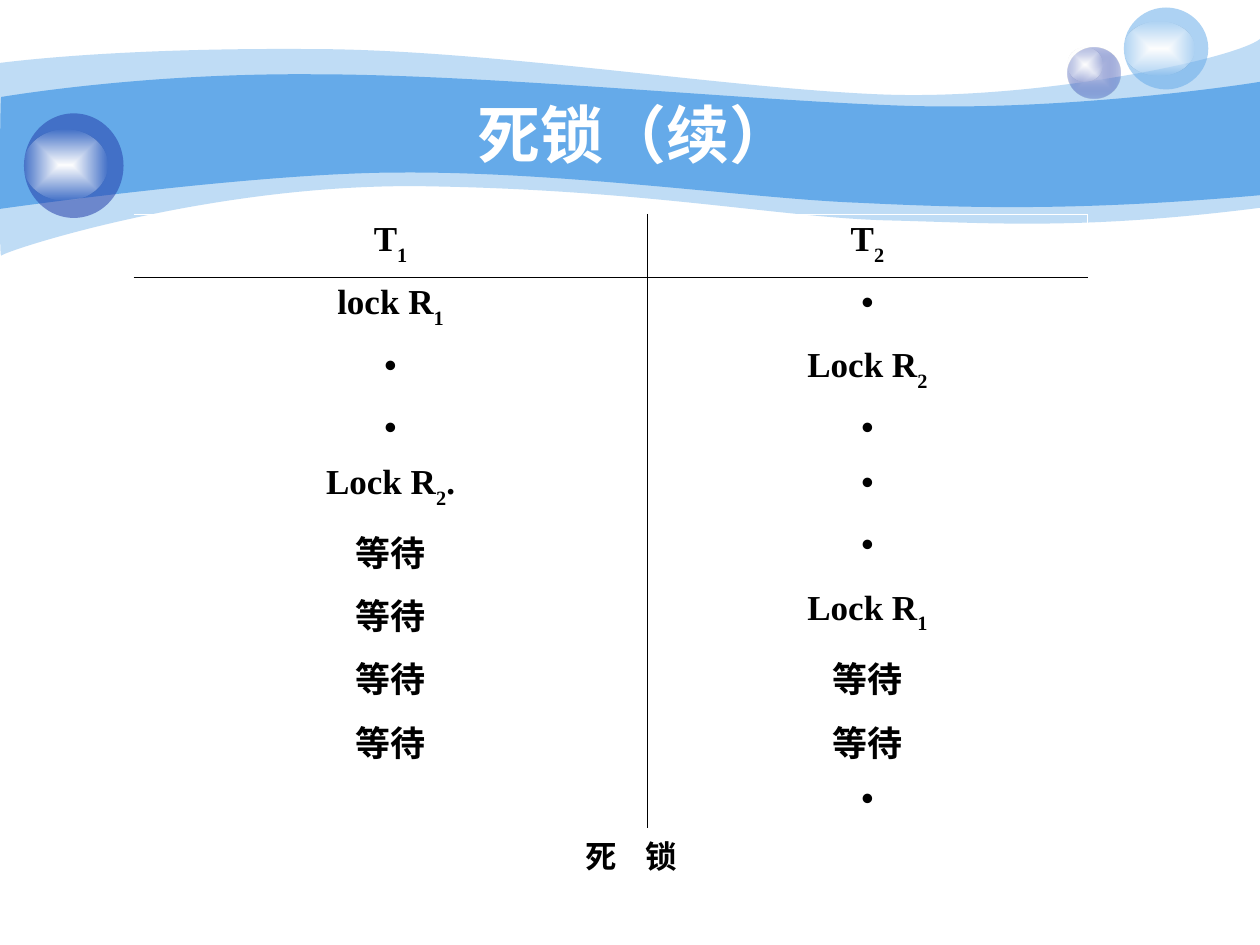
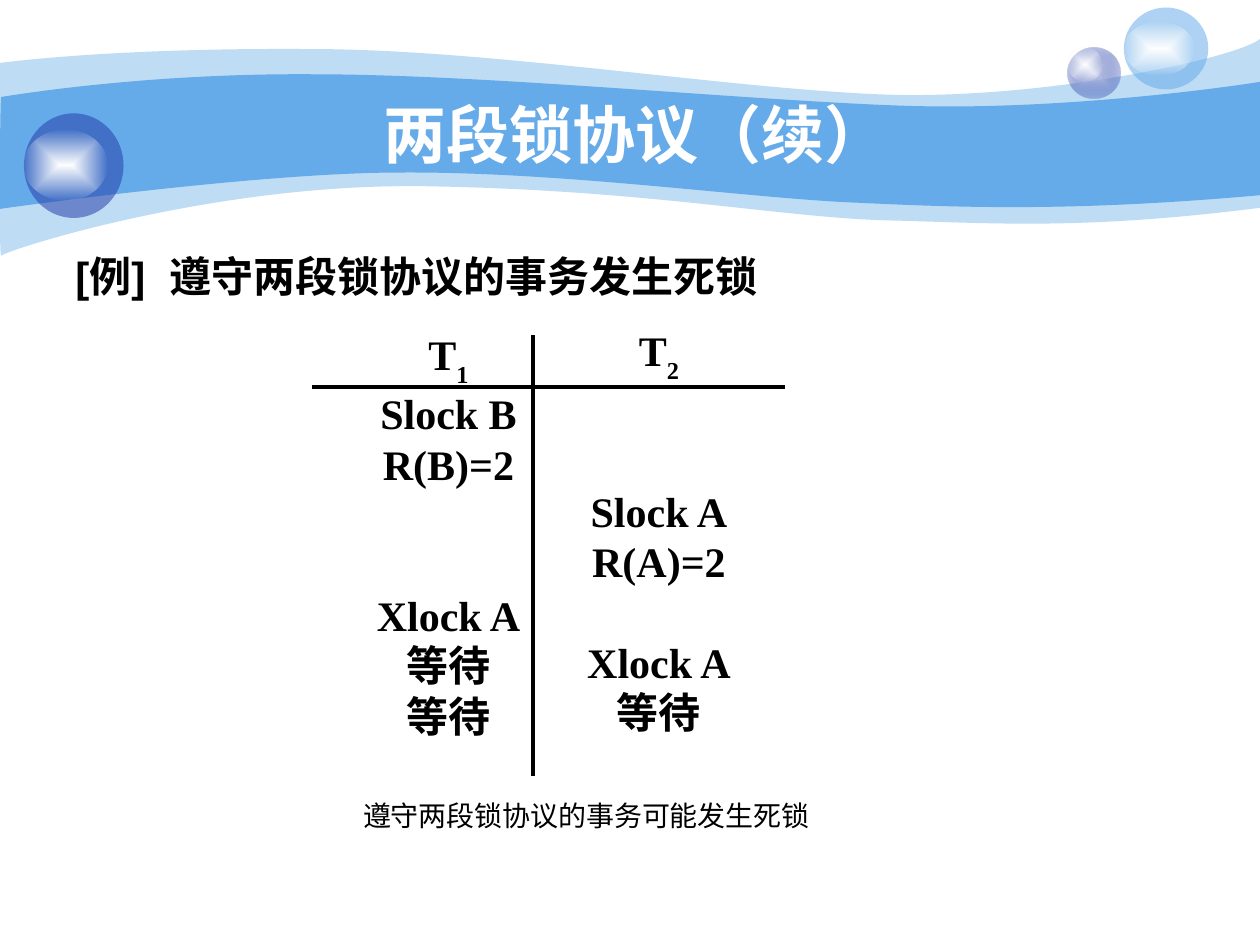
"""Build two slides on deadlock and the two-phase locking protocol."""
from itertools import groupby, islice

from lxml.etree import SubElement
from pptx import Presentation
from pptx.dml.color import RGBColor
from pptx.enum.shapes import MSO_CONNECTOR as CONNECTOR, MSO_SHAPE as SHAPE
from pptx.enum.text import MSO_ANCHOR as ANCHOR, MSO_AUTO_SIZE as FIT, PP_ALIGN as ALIGN
from pptx.oxml import parse_xml
from pptx.oxml.ns import nsdecls, qn
from pptx.util import Emu, Pt

PX = 9144
BLUE, NAVY, PALE, WHITE, BLACK = "65AAE9", "233DA9", "C7CEE9", "FFFFFF", "000000"
NO_GRID = "{2D5ABB26-0587-4C30-8999-92F81FD0307C}"
LATIN, HEADING = "Times New Roman", "Arial"
TITLE = dict(name=HEADING, size=Pt(36), bold=True)
EXAMPLE = dict(name=HEADING, size=Pt(24), bold=True)
SCHEDULE = dict(name=LATIN, size=Pt(24), bold=True)
CELL = dict(name=LATIN, size=Pt(20), bold=True)
RESULT = dict(name=LATIN, size=Pt(18), bold=True)
CAPTION = dict(name=LATIN, size=Pt(16), bold=False)
MARKS = {
    "₁": ("1", "baseline", "-30000"),
    "₂": ("2", "baseline", "-30000"),
    "~": (" ", "spc", "1200"),
    "^": (" ", "spc", "700"),
}


def px(*lengths):
    return [Emu(round(length * PX)) for length in lengths]


def write(paragraph, text, font, color=BLACK, **layout_values):
    for key, value in layout_values.items():
        setattr(paragraph, key, value)
    for mark, letters in groupby(text, MARKS.get):
        run = paragraph.add_run()
        run.text = mark[0] if mark else "".join(letters)
        for key, value in font.items():
            setattr(run.font, key, value)
        run.font.color.rgb = RGBColor.from_string(color)
        if mark:
            run._r.get_or_add_rPr().set(mark[1], mark[2])


deck = Presentation()
deck.slide_width, deck.slide_height = px(1000, 750)
layout = deck.slide_layouts[5]
for footer in list(layout.placeholders)[1:]:
    footer.element.getparent().remove(footer.element)
heading = layout.placeholders[0]
heading.left, heading.top, heading.width, heading.height = px(100, 75, 808, 62)

slides = []
for title in ("死锁（续）", "两段锁协议（续）"):
    slide = deck.slides.add_slide(layout)
    frame = slide.shapes.title.text_frame
    frame.auto_size, frame.vertical_anchor = FIT.NONE, ANCHOR.MIDDLE
    write(frame.paragraphs[0], title, TITLE, WHITE, alignment=ALIGN.CENTER)
    slides.append(slide)
deadlock, two_phase = slides

waves = [
    ([(0, 50), (24, 47, 107, 38, 247, 39), (386, 39, 575, 70, 699, 75),
      (822, 80, 980, 47, 1000, 31), (1000, 165), (858, 183, 787, 177, 705, 175),
      (622, 173, 515, 151, 343, 148), (172, 144, 4, 199, 1, 203),
      (-1, 208, 0, 75, 0, 50)], [(0, BLUE, 41)]),
    ([(1, 77), (2, 77, 110, 58, 248, 59), (386, 59, 595, 80, 718, 84),
      (841, 88, 976, 69, 1000, 65), (1000, 155), (853, 168, 765, 165, 682, 161),
      (599, 158, 447, 136, 317, 137), (203, 137, -2, 166, -1, 166),
      (0, 166, 0, 77, 1, 77)], [(0, BLUE, 100)]),
]
glow = [(0, WHITE, 100), (100, WHITE, 0)]
bubbles = [
    ((847, 38, 42, 40), [(0, PALE, 100), (100, NAVY, 31)]),
    ((847, 38, 28, 27), glow),
    ((892, 6, 67, 65), [(0, BLUE, 53)]),
    ((892, 17, 56, 43), glow),
    ((19, 90, 79, 83), [(0, NAVY, 53)]),
    ((19, 103, 66, 56), glow),
]
decorations = []
for curves, stops in waves:
    points = [px(*curve[i:i + 2]) for curve in curves for i in range(0, len(curve), 2)]
    builder = deadlock.shapes.build_freeform(*points[0])
    builder.add_line_segments(points[1:], close=True)
    wave = builder.convert_to_shape()
    segments = iter(list(wave.element.iter(qn("a:lnTo"))))
    for curve in curves[1:]:
        controls = list(islice(segments, len(curve) // 2))
        if len(controls) == 3:
            bend = parse_xml(f'<a:cubicBezTo {nsdecls("a")}/>')
            controls[0].addprevious(bend)
            for control in controls:
                bend.append(control[0])
                control.getparent().remove(control)
    decorations.append((wave, stops))
for box, stops in bubbles:
    decorations.append((deadlock.shapes.add_shape(SHAPE.OVAL, *px(*box)), stops))

for decoration, stops in decorations:
    decoration.shadow.inherit = False
    decoration.line.fill.background()
    decoration.fill.solid()
    tints = [f'<a:srgbClr val="{color}"><a:alpha val="{alpha * 1000}"/></a:srgbClr>'
             for _, color, alpha in stops]
    if len(stops) == 1:
        fill = f'<a:solidFill {nsdecls("a")}>{tints[0]}</a:solidFill>'
    else:
        shades = "".join(f'<a:gs pos="{stop[0] * 1000}">{tint}</a:gs>'
                         for stop, tint in zip(stops, tints))
        fill = (f'<a:gradFill {nsdecls("a")} rotWithShape="1"><a:gsLst>{shades}</a:gsLst>'
                '<a:path path="rect"><a:fillToRect l="50000" t="50000" r="50000" b="50000"/>'
                '</a:path></a:gradFill>')
    properties = decoration.element.spPr
    properties.replace(properties.find(qn("a:solidFill")), parse_xml(fill))
    layout.shapes.element.append(decoration.element)

steps = [
    ("T₁", "T₂"), ("lock R₁", "•"), ("•", "Lock R₂"), ("•", "•"), ("Lock R₂.", "•"),
    ("等待", "•"), ("等待", "Lock R₁"), ("等待", "等待"), ("等待", "等待"), ("", "•"),
]
row_heights = (50, 50, 49, 44, 49, 44, 50, 44, 44, 44)
table = deadlock.shapes.add_table(len(steps), 2, *px(106, 170, 757, sum(row_heights))).table
table.first_row = table.horz_banding = False
table._tbl.tblPr.find(qn("a:tableStyleId")).text = NO_GRID
for column, width in zip(table.columns, px(408, 349)):
    column.width = width
for r, (row, height, step) in enumerate(zip(table.rows, px(*row_heights), steps)):
    row.height = height
    for c, text in enumerate(step):
        cell = row.cells[c]
        borders = {
            "lnL": BLACK if c else None,
            "lnR": WHITE if c else BLACK,
            "lnT": {0: WHITE, 1: BLACK}.get(r),
            "lnB": {0: BLACK, len(steps) - 1: WHITE}.get(r),
        }
        for side, color in borders.items():
            ink = (f'<a:solidFill><a:srgbClr val="{color}"/></a:solidFill>' if color
                   else '<a:noFill/>')
            cell._tc.get_or_add_tcPr().append(parse_xml(
                f'<a:{side} {nsdecls("a")} w="5715">{ink}</a:{side}>'))
        cell.fill.background()
        if text:
            write(cell.text_frame.paragraphs[0], text, CELL, alignment=ALIGN.CENTER)

leading = Pt(28.8)
centered = dict(alignment=ALIGN.CENTER)
spaced = dict(centered, line_spacing=leading)
first_transaction = [("T₁", 0), ("Slock B", 0), ("R(B)=2", 0), ("Xlock A", 2),
                     ("等待", 0), ("等待", 0)]
second_transaction = [("T₂", 0), ("Slock A", 2), ("R(A)=2", 0), ("Xlock A", 1), ("等待", 0)]
texts = [
    (deadlock, (417, 659, 168, 40), [("死~锁", 0)], RESULT, centered),
    (two_phase, (50, 178, 900, 514), [("[例]^遵守两段锁协议的事务发生死锁", 0)], EXAMPLE,
     dict(alignment=ALIGN.LEFT, line_spacing=1.4)),
    (two_phase, (289, 263, 134, 392), first_transaction, SCHEDULE, spaced),
    (two_phase, (456, 260, 134, 392), second_transaction, SCHEDULE, spaced),
    (two_phase, (238, 629, 455, 40), [("遵守两段锁协议的事务可能发生死锁", 0)], CAPTION, centered),
]
for slide, box, lines, font, values in texts:
    frame = slide.shapes.add_textbox(*px(*box)).text_frame
    frame.word_wrap = values["alignment"] == ALIGN.LEFT
    for number, (text, skipped) in enumerate(lines):
        paragraph = frame.add_paragraph() if number else frame.paragraphs[0]
        if skipped:
            paragraph.space_before = skipped * leading
        write(paragraph, text, font, **values)

for ends in ((248, 307, 623, 307), (423, 266, 423, 616)):
    rule = two_phase.shapes.add_connector(CONNECTOR.STRAIGHT, *px(*ends))
    rule.line.color.rgb = RGBColor.from_string(BLACK)
    rule.line.width = Pt(2.25)
    SubElement(rule.element.spPr, qn("a:effectLst"))

deck.save("out.pptx")
